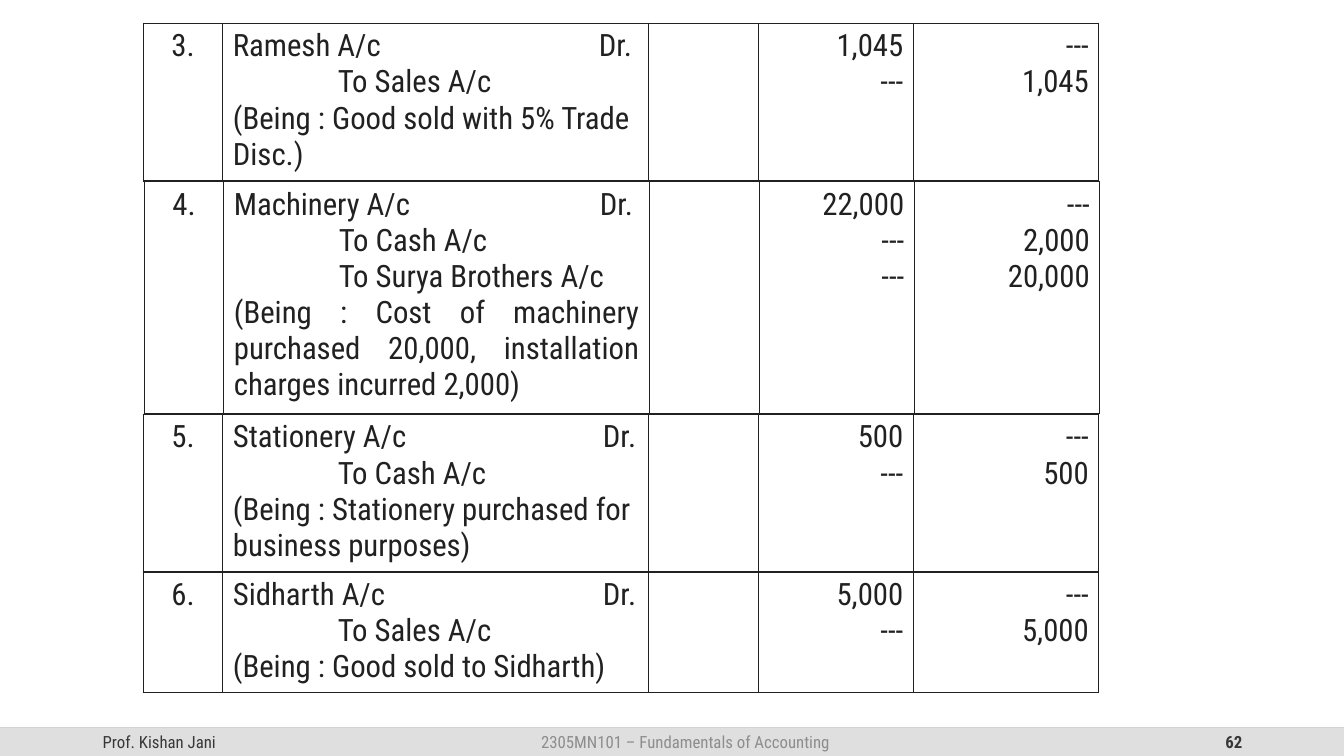
from lxml.etree import SubElement
from pptx import Presentation
from pptx.dml.color import RGBColor
from pptx.enum.shapes import MSO_CONNECTOR as Connector, MSO_SHAPE as Shape
from pptx.enum.text import MSO_ANCHOR as Anchor, PP_ALIGN as Align
from pptx.oxml import parse_xml
from pptx.oxml.ns import nsdecls, qn
from pptx.util import Inches, Pt

FONT = "Roboto Condensed"
INK = "212121"
COLUMNS = (0.79, 4.22, 1.09, 1.54, 1.84)
ROW_HEIGHT = 0.98
CREDIT_INDENT = 1.04
FOOTER_TOP, FOOTER_HEIGHT = 7.22, 0.28

ENTRIES = [
    dict(number="3.", left=1.42, top=0.23, height=1.57, debit_tab=3.63,
         account="Ramesh A/c", credits=["To Sales A/c"],
         narration="(Being : Good sold with 5% Trade Disc.)", align=Align.LEFT,
         debits=["1,045", "---"], amounts=["---", "1,045"]),
    dict(number="4.", left=1.43, top=1.8, height=2.3, debit_tab=3.63,
         account="Machinery A/c", credits=["To Cash A/c", "To Surya Brothers A/c"],
         narration="(Being : Cost of machinery purchased 20,000, "
                   "installation charges incurred 2,000)", align=Align.JUSTIFY,
         debits=["22,000", "---", "---"], amounts=["---", "2,000", "20,000"]),
    dict(number="5.", left=1.42, top=4.11, height=1.57, debit_tab=3.67,
         account="Stationery A/c", credits=["To Cash A/c"],
         narration="(Being : Stationery purchased for business purposes)",
         align=Align.LEFT, debits=["500", "---"], amounts=["---", "500"]),
    dict(number="6.", left=1.42, top=5.67, height=1.2, debit_tab=3.67,
         account="Sidharth A/c", credits=["To Sales A/c"],
         narration="(Being : Good sold to Sidharth)", align=Align.LEFT,
         debits=["5,000", "---"], amounts=["---", "5,000"]),
]


def set_color(color_format, value):
    color_format.rgb = RGBColor.from_string(value)


def set_values(target, values):
    for name, value in values.items():
        setattr(target, name, value)


def write(para, text, size, color, align, bold=False):
    para.alignment = align
    span = para.add_run()
    span.text = text
    set_values(span.font, dict(name=FONT, size=Pt(size), bold=bold))
    set_color(span.font.color, color)


def add_tab(para, position):
    tabs = SubElement(para._p.get_or_add_pPr(), qn("a:tabLst"))
    SubElement(tabs, qn("a:tab"), pos=str(Inches(position)), algn="l")


def indent(para, width):
    set_values_xml = para._p.get_or_add_pPr()
    set_values_xml.set("marL", str(Inches(width)))
    set_values_xml.set("indent", "0")


def fill_cell(cell, lines, align):
    frame = cell.text_frame
    paras = [frame.paragraphs[0]] + [frame.add_paragraph() for _ in lines[1:]]
    for para, text in zip(paras, lines):
        write(para, text, 22, INK, align)
    return paras


def style_cell(cell):
    cell.fill.background()
    properties = cell._tc.get_or_add_tcPr()
    for index, side in enumerate(("lnL", "lnR", "lnT", "lnB")):
        border = parse_xml(
            f'<a:{side} {nsdecls("a")} w="{Pt(1)}"><a:solidFill>'
            f'<a:srgbClr val="{INK}"/></a:solidFill></a:{side}>')
        properties.insert(index, border)


def add_entry(page, entry):
    frame = page.shapes.add_table(
        1, len(COLUMNS), Inches(entry["left"]), Inches(entry["top"]),
        Inches(sum(COLUMNS)), Inches(ROW_HEIGHT))
    table = frame.table
    set_values(table, dict(first_row=False, horz_banding=False))
    for column, width in zip(table.columns, COLUMNS):
        column.width = Inches(width)
    cells = table.rows[0].cells
    for cell in cells:
        style_cell(cell)
    number, particulars, _, debit, credit = cells
    fill_cell(number, [entry["number"]], Align.CENTER)
    fill_cell(debit, entry["debits"], Align.RIGHT)
    fill_cell(credit, entry["amounts"], Align.RIGHT)
    lines = [entry["account"] + "\tDr.", *entry["credits"], entry["narration"]]
    paras = fill_cell(particulars, lines, Align.LEFT)
    add_tab(paras[0], entry["debit_tab"])
    for para in paras[1:-1]:
        indent(para, CREDIT_INDENT)
    paras[-1].alignment = entry["align"]
    frame.height = Inches(entry["height"])


def add_footer_rule(page):
    rule = page.shapes.add_connector(
        Connector.STRAIGHT, 0, Inches(FOOTER_TOP), Inches(13.33), Inches(FOOTER_TOP))
    rule.line.width = Pt(1)
    set_color(rule.line.color, "BFBFBF")
    color = rule.line._ln.find(".//" + qn("a:srgbClr"))
    SubElement(color, qn("a:alpha"), val="70000")
    SubElement(rule._element.spPr, qn("a:effectLst"))


def add_footer_bar(page):
    bar = page.shapes.add_shape(
        Shape.ROUNDED_RECTANGLE, 0, Inches(FOOTER_TOP), Inches(13.33), Inches(FOOTER_HEIGHT))
    bar.adjustments[0] = 0
    bar.shadow.inherit = False
    bar.fill.solid()
    set_color(bar.fill.fore_color, "DFDFDF")
    bar.line.fill.background()


def add_footer_text(page, left, width, text, color, align, bold=False):
    box = page.shapes.add_textbox(
        Inches(left), Inches(FOOTER_TOP), Inches(width), Inches(FOOTER_HEIGHT))
    frame = box.text_frame
    set_values(frame, dict(word_wrap=True, vertical_anchor=Anchor.MIDDLE,
                           margin_top=0, margin_bottom=0))
    write(frame.paragraphs[0], text, 12, color, align, bold)


def main():
    deck = Presentation()
    set_values(deck, dict(slide_width=Inches(13.33), slide_height=Inches(7.5)))
    page = deck.slides.add_slide(deck.slide_layouts[6])
    add_footer_rule(page)
    add_footer_bar(page)
    add_footer_text(page, 0.92, 3, "Prof. Kishan Jani", "373737", Align.LEFT)
    add_footer_text(page, 9.42, 3, "62", "373737", Align.RIGHT, bold=True)
    add_footer_text(page, 4.18, 5.24, "2305MN101 – Fundamentals of Accounting",
                    "8D8D8D", Align.CENTER)
    for entry in ENTRIES:
        add_entry(page, entry)
    deck.save("out.pptx")


if __name__ == "__main__":
    main()
